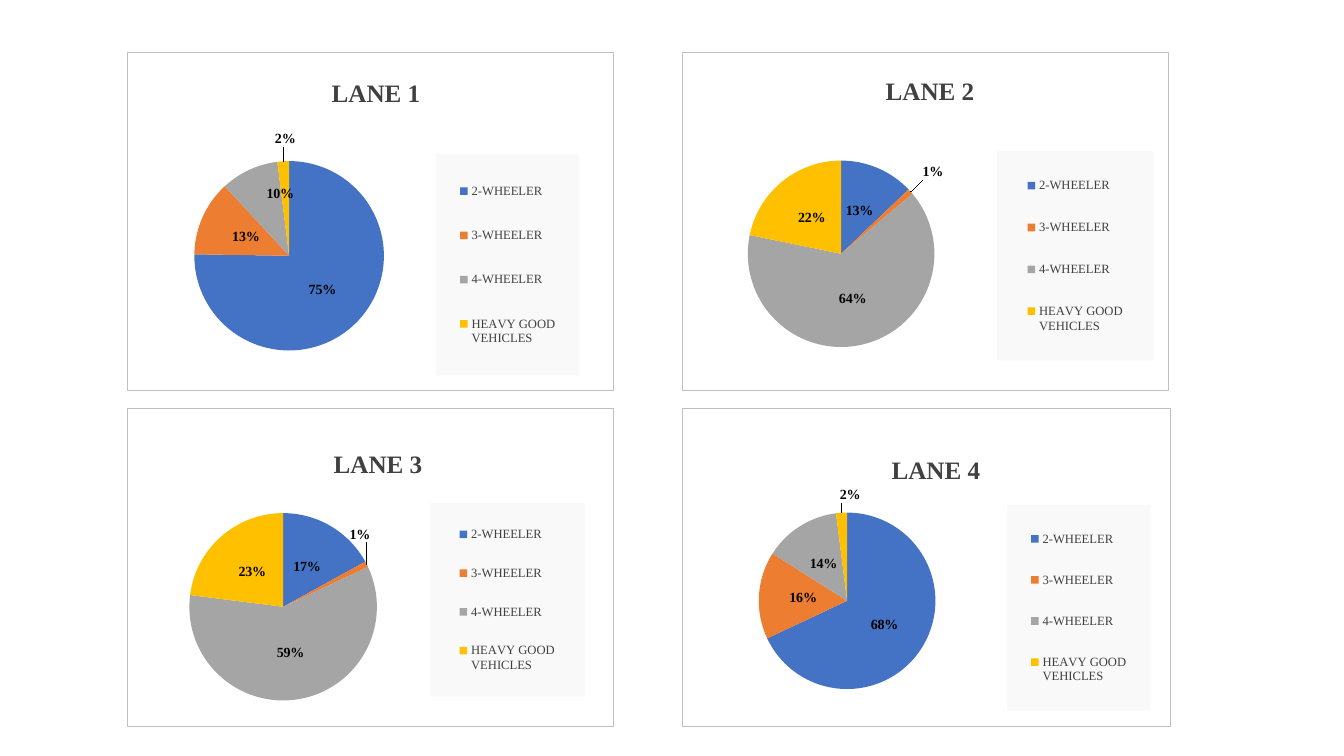
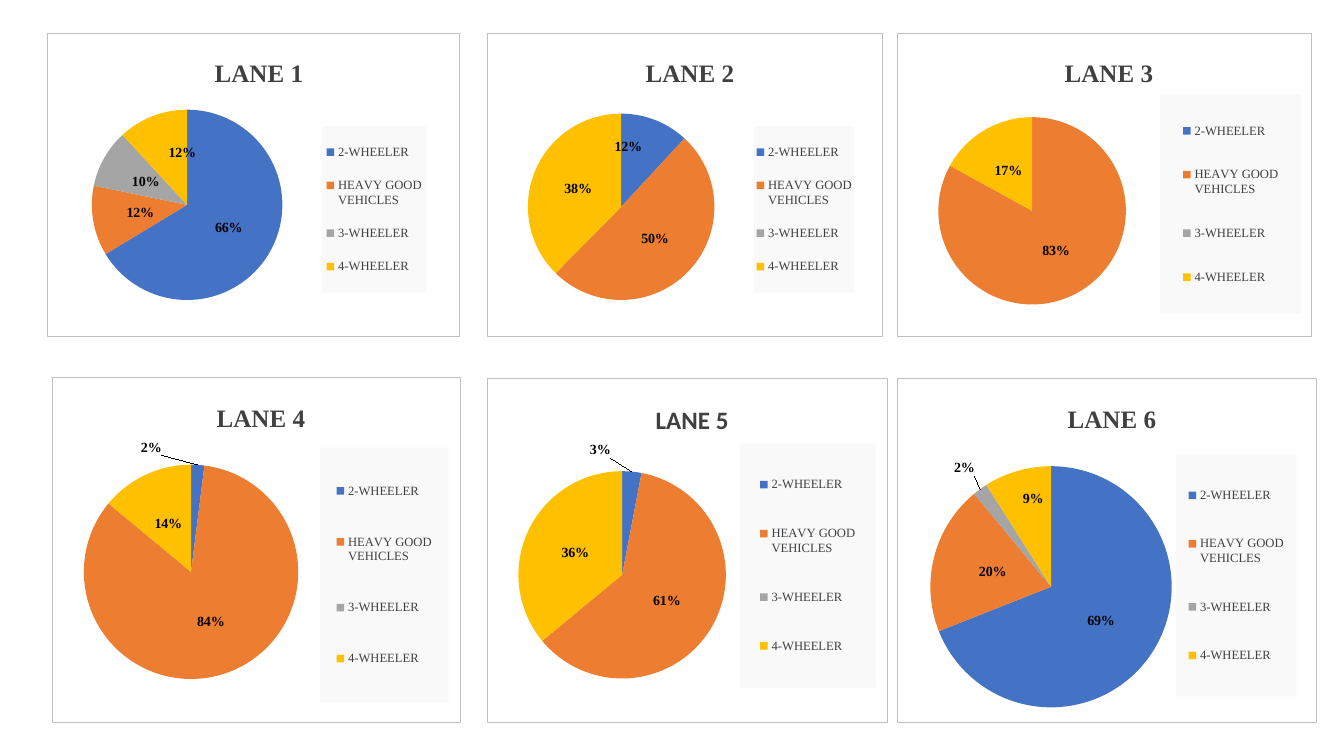
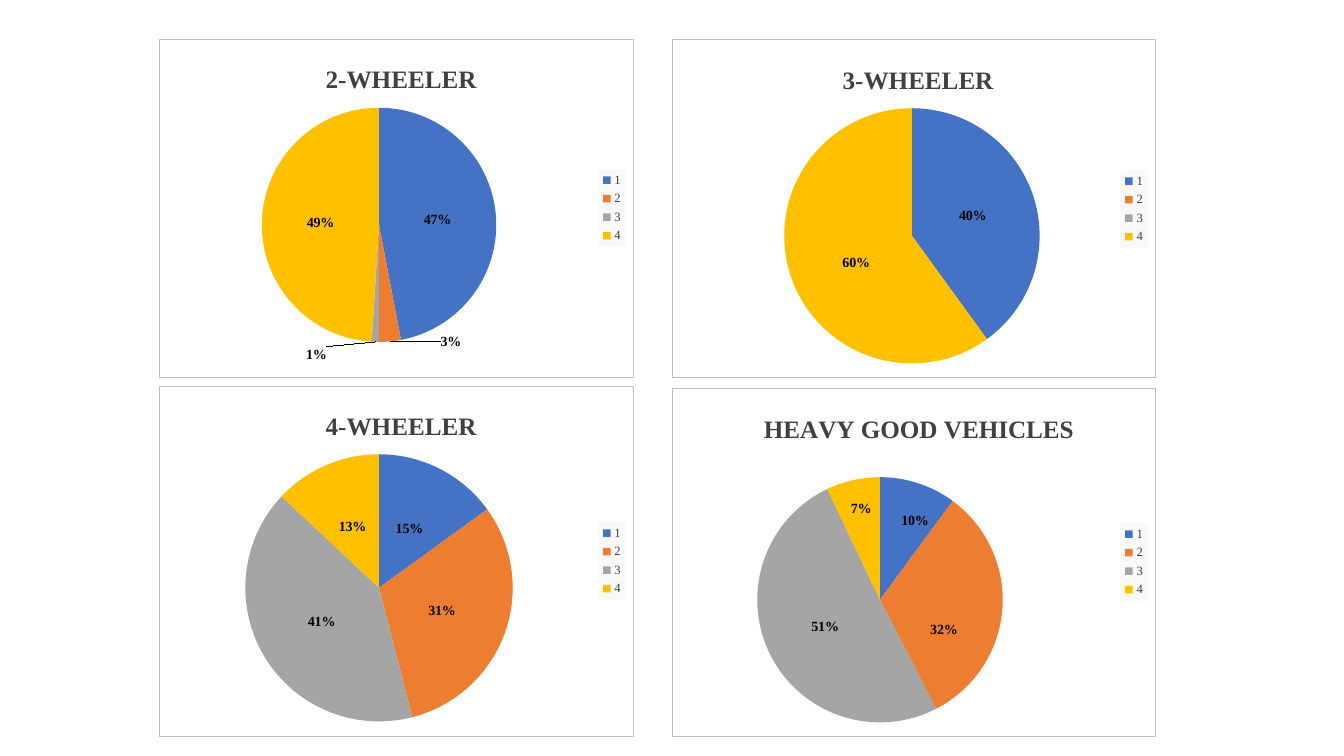
from dataclasses import dataclass
from math import cos, pi, sin

from pptx import Presentation
from pptx.chart.data import CategoryChartData
from pptx.dml.color import RGBColor
from pptx.enum.chart import XL_CHART_TYPE, XL_LABEL_POSITION, XL_LEGEND_POSITION
from pptx.oxml import parse_xml
from pptx.oxml.ns import nsdecls, qn
from pptx.util import Emu, Pt

PIE = XL_CHART_TYPE.PIE
CENTER = XL_LABEL_POSITION.CENTER
RIGHT = XL_LEGEND_POSITION.RIGHT
SCALE = 914400 / 100.8


@dataclass(frozen=True)
class Theme:
    serif: str = "Times New Roman"
    sans: str = "Calibri"
    ink: str = "000000"
    gray: str = "404040"
    edge: str = "BFBFBF"
    paper: str = "FFFFFF"
    panel: str = "F9F9F9"
    wedges: tuple = ("4472C4", "ED7D31", "A5A5A5", "FFC000")
    head: int = 18
    label: int = 10
    key: int = 9
    rule: float = 0.75


@dataclass(frozen=True)
class Lane:
    title: str
    frame: tuple
    head: tuple
    pie: tuple
    key: tuple
    vals: tuple
    moves: dict
    font: str = Theme.serif


def px(count):
    return Emu(round(count * SCALE))


def look(name, size, color, bold=False):
    return {"name": name, "size": Pt(size), "bold": bold, "color": color}


def dress(font, style):
    for key, val in style.items():
        if key == "color":
            font.color.rgb = RGBColor.from_string(val)
        else:
            setattr(font, key, val)


def paint(fill, edge=None, width=0):
    line = "<a:ln><a:noFill/></a:ln>"
    if edge:
        line = (f'<a:ln w="{Pt(width)}"><a:solidFill><a:srgbClr val="{edge}"/>'
                "</a:solidFill></a:ln>")
    return parse_xml(
        f'<c:spPr {nsdecls("c", "a")}><a:solidFill><a:srgbClr val="{fill}"/>'
        f"</a:solidFill>{line}</c:spPr>")


def pin(node, slot, parts, modes=()):
    for old in node.findall(qn("c:layout")):
        node.remove(old)
    tags = [f'<c:{name} val="{mode}"/>' for name, mode in modes]
    tags += [f'<c:{name} val="{val:.4f}"/>' for name, val in zip("xywh", parts)]
    node.insert(slot, parse_xml(
        f'<c:layout {nsdecls("c")}><c:manualLayout>{"".join(tags)}'
        "</c:manualLayout></c:layout>"))


def share(box, frame):
    left, top, wide, high = frame
    spot = ((box[0] - left) / wide, (box[1] - top) / high)
    return spot + tuple(val / side for val, side in zip(box[2:], (wide, high)))


class Deck:
    edges = (("xMode", "edge"), ("yMode", "edge"))

    def __init__(self, theme):
        self.theme = theme
        self.show = Presentation()
        self.show.slide_width, self.show.slide_height = px(1344), px(756)
        self.slide = None

    def page(self):
        self.slide = self.show.slides.add_slide(self.show.slide_layouts[6])

    def chart(self, lane, cats, name, base):
        theme = self.theme
        data = CategoryChartData()
        data.categories = cats
        data.add_series(name, lane.vals)
        box = map(px, lane.frame)
        chart = self.slide.shapes.add_chart(PIE, *box, data).chart
        dress(chart.font, look(base, theme.label, theme.ink))
        self.title(chart, lane)
        self.legend(chart, lane)
        self.pie(chart, lane)

    def title(self, chart, lane):
        theme = self.theme
        title = chart.chart_title
        title.text_frame.text = lane.title
        run = title.text_frame.paragraphs[0].runs[0]
        dress(run.font, look(lane.font, theme.head, theme.gray, True))
        pin(title._element, 1, share(lane.head, lane.frame), self.edges)

    def legend(self, chart, lane):
        theme = self.theme
        chart.has_legend = True
        legend = chart.legend
        legend.position = RIGHT
        legend.include_in_layout = False
        dress(legend.font, look(theme.serif, theme.key, theme.gray))
        node = legend._element
        pin(node, 1, share(lane.key, lane.frame), self.edges)
        node.find(qn("c:overlay")).addnext(paint(theme.panel))

    def pie(self, chart, lane):
        theme = self.theme
        midx, midy, size = lane.pie
        plot = chart.plots[0]
        plot.vary_by_categories = True
        box = (midx - size / 2, midy - size / 2, size, size)
        area = plot._element.getparent()
        area.getparent().addnext(paint(theme.paper, theme.edge, theme.rule))
        pin(area, 0, share(box, lane.frame), (("layoutTarget", "inner"),) + self.edges)
        row = plot.series[0]
        style = look(theme.serif, theme.label, theme.ink, True)
        labels = row.data_labels
        labels.show_percentage, labels.show_value = True, False
        labels.position = CENTER
        dress(labels.font, style)
        for i, color in enumerate(theme.wedges):
            point = row.points[i]
            point.format.fill.solid()
            point.format.fill.fore_color.rgb = RGBColor.from_string(color)
            if i in lane.moves or not lane.vals[i]:
                self.label(row, i, lane, style)

    def label(self, row, i, lane, style):
        label = row.points[i].data_label
        dress(label.font, style)
        label.position = CENTER
        node = row._element.xpath(f'c:dLbls/c:dLbl[c:idx/@val="{i}"]')[0]
        if not lane.vals[i]:
            for part in list(node)[1:]:
                node.remove(part)
            node.append(parse_xml(f'<c:delete {nsdecls("c")} val="1"/>'))
            return
        node.find(qn("c:showVal")).set("val", "0")
        node.find(qn("c:showPercent")).set("val", "1")
        midx, midy, size = lane.pie
        turn = 2 * pi * (sum(lane.vals[:i]) + lane.vals[i] / 2) / sum(lane.vals)
        home = (midx + size / 4 * sin(turn), midy - size / 4 * cos(turn))
        shift = [(new - old) / side for new, old, side
                 in zip(lane.moves[i], home, lane.frame[2:])]
        pin(node, 1, shift)


HEAVY = "HEAVY GOOD VEHICLES"
WHEELS = ("2-WHEELER", "3-WHEELER", "4-WHEELER")

FOUR = (
    Lane("LANE 1", (127, 52, 487, 339), (327, 72), (289, 256, 190),
         (436, 154, 144, 222), (76, 13, 10, 2), {2: (280, 194), 3: (285, 139)}),
    Lane("LANE 2", (682, 52, 487, 339), (881, 70), (841, 254, 187),
         (997, 151, 157, 210), (13, 1, 65, 22), {1: (933, 172)}),
    Lane("LANE 3", (127, 408, 487, 319), (329, 444), (283, 607, 188),
         (430, 503, 155, 194), (17, 1, 59, 23), {1: (360, 535)}),
    Lane("LANE 4", (682, 408, 489, 319), (887, 450), (847, 601, 177),
         (1007, 505, 144, 206), (68, 16, 14, 2), {3: (850, 495)}),
)

SIX = (
    Lane("LANE 1", (47, 33, 413, 304), (210, 52), (187, 205, 191),
         (322, 126, 105, 167), (67, 12, 10, 12), {3: (182, 153)}),
    Lane("LANE 2", (487, 33, 396, 304), (641, 52), (621, 207, 187),
         (754, 126, 101, 167), (12, 51, 0, 38), {0: (628, 147)}),
    Lane("LANE 3", (897, 33, 415, 304), (1060, 52), (1032, 211, 188),
         (1160, 94, 142, 220), (0, 83, 0, 17), {}),
    Lane("LANE 4", (52, 377, 409, 346), (212, 397), (191, 572, 215),
         (320, 447, 129, 256), (2, 84, 0, 14), {0: (151, 447)}),
    Lane("LANE 5", (487, 378, 401, 345), (651, 397), (622, 575, 208),
         (740, 443, 136, 245), (3, 61, 0, 36), {0: (600, 450)}, Theme.sans),
    Lane("LANE 6", (897, 378, 420, 345), (1063, 398), (1051, 587, 242),
         (1176, 454, 121, 243), (69, 20, 2, 9), {2: (964, 468), 3: (1033, 499)}),
)

KINDS = (
    Lane(WHEELS[0], (159, 39, 475, 339), (321, 58), (379, 225, 235),
         (599, 169, 27, 78), (47, 3, 1, 49), {1: (451, 342), 2: (316, 355)}),
    Lane(WHEELS[1], (672, 39, 484, 339), (838, 59), (912, 236, 256),
         (1121, 170, 27, 78), (40, 0, 0, 60), {3: (856, 263)}),
    Lane(WHEELS[2], (159, 386, 475, 351), (321, 405), (379, 588, 268),
         (599, 522, 27, 78), (15, 31, 41, 13), {}),
    Lane(HEAVY, (672, 388, 484, 349), (759, 408), (880, 600, 246),
         (1121, 523, 27, 78), (10, 32, 50, 7),
         {0: (915, 521), 1: (944, 630), 3: (861, 509)}),
)


def main():
    deck = Deck(Theme())
    pages = (
        (FOUR, WHEELS + (HEAVY,), "Series 1", Theme.sans),
        (SIX, (WHEELS[0], HEAVY) + WHEELS[1:], "Series 1", Theme.sans),
        (KINDS, ("1", "2", "3", "4"), None, Theme.serif),
    )
    for lanes, cats, name, base in pages:
        deck.page()
        for lane in lanes:
            deck.chart(lane, cats, name or lane.title, base)
    deck.show.save("out.pptx")


if __name__ == "__main__":
    main()
